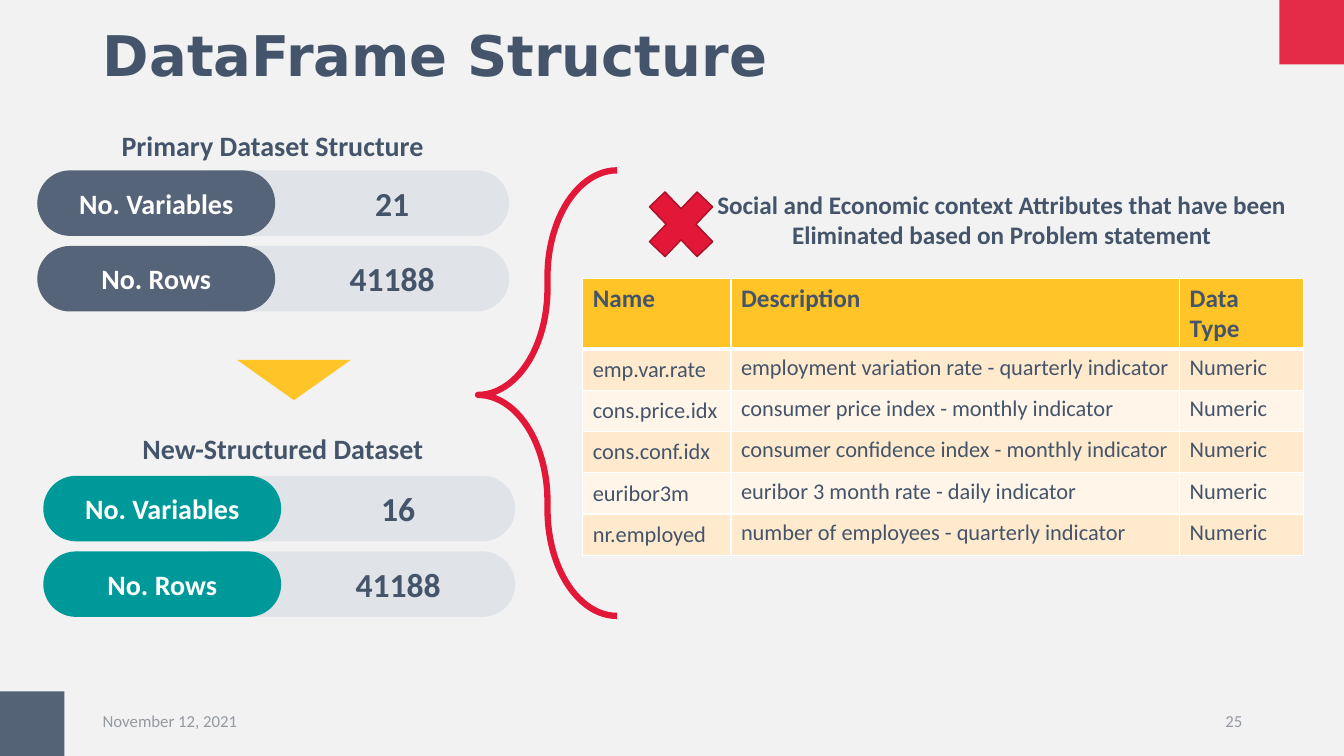
"""Build the DataFrame Structure slide."""
from lxml.etree import SubElement
from pptx import Presentation
from pptx.dml.color import RGBColor
from pptx.enum.shapes import MSO_SHAPE
from pptx.enum.text import MSO_ANCHOR, PP_ALIGN
from pptx.oxml.ns import qn
from pptx.util import Inches, Pt

WIDTH, HEIGHT = 13.33, 7.5
NAVY, SLATE, TEAL, RED, GOLD = "44546A", "556478", "009999", "E31737", "FFC427"
WHITE, TRACK, MUTED, PAPER = "FFFFFF", "E0E3E8", "9499A1", "F2F2F2"
BANDS = ["FFEACD", "FFF5E8"]

TITLE = "DataFrame Structure"
FOOTERS = [("November 12, 2021", 0.92, PP_ALIGN.LEFT), ("25", 9.42, PP_ALIGN.RIGHT)]
CORNERS = [(WIDTH - 0.64, 0, RED), (0, HEIGHT - 0.64, NAVY)]
NOTE = ("Social and Economic context Attributes that have been "
        "Eliminated based on Problem statement")
PANELS = [
    {"heading": "Primary Dataset Structure", "heading_at": (0.52, 1.22), "at": (0.37, 1.69),
     "color": SLATE, "rows": [("No. Variables", "21"), ("No. Rows", "41188")]},
    {"heading": "New-Structured Dataset", "heading_at": (0.62, 4.23), "at": (0.43, 4.72),
     "color": TEAL, "rows": [("No. Variables", "16"), ("No. Rows", "41188")]},
]
ATTRIBUTES = [
    ("Name", "Description", "Data Type"),
    ("emp.var.rate", "employment variation rate - quarterly indicator", "Numeric"),
    ("cons.price.idx", "consumer price index - monthly indicator", "Numeric"),
    ("cons.conf.idx", "consumer confidence index - monthly indicator", "Numeric"),
    ("euribor3m", "euribor 3 month rate - daily indicator", "Numeric"),
    ("nr.employed", "number of employees - quarterly indicator", "Numeric"),
]
COLUMNS = [1.47, 4.45, 1.23]
ROW_HEIGHT, PILL_HEIGHT, PILL_PITCH = 0.41, 0.65, 0.75


def rgb(value):
    return RGBColor.from_string(value)


def inches(*lengths):
    return [Inches(length) for length in lengths]


def write(frame, text, size, color=NAVY, bold=True, align=PP_ALIGN.CENTER,
          anchor=MSO_ANCHOR.MIDDLE, font="Calibri"):
    frame.word_wrap = True
    frame.vertical_anchor = anchor
    para = frame.paragraphs[0]
    para.alignment = align
    span = para.add_run()
    span.text = text
    for name, value in {"size": Pt(size), "bold": bold, "name": font}.items():
        setattr(span.font, name, value)
    span.font.color.rgb = rgb(color)
    return para


def add_text(page, at, text, size, **style):
    box = page.shapes.add_textbox(*inches(*at))
    write(box.text_frame, text, size, **style)


def add_figure(page, kind, at, fill=None, line=None, adjustments=()):
    figure = page.shapes.add_shape(kind, *inches(*at))
    figure.shadow.inherit = False
    if fill:
        figure.fill.solid()
        figure.fill.fore_color.rgb = rgb(fill)
    else:
        figure.fill.background()
    if line:
        figure.line.color.rgb = rgb(line[0])
        figure.line.width = Pt(line[1])
    else:
        figure.line.fill.background()
    for index, value in enumerate(adjustments):
        figure.adjustments[index] = value
    return figure


def add_corner(page, left, top, color):
    corner = add_figure(page, MSO_SHAPE.RECTANGLE, (left, top, 0.64, 0.64), color)
    tint = corner.fill._xPr.find(qn("a:solidFill"))[0]
    SubElement(tint, qn("a:alpha"), val="90000")


def add_panel(page, panel):
    add_text(page, (*panel["heading_at"], 4.37, 0.44), panel["heading"], 20)
    left, top = panel["at"]
    for index, (label, value) in enumerate(panel["rows"]):
        y = top + index * PILL_PITCH
        add_figure(page, MSO_SHAPE.ROUNDED_RECTANGLE, (left + 1.38, y, 3.3, PILL_HEIGHT),
                   TRACK, adjustments=[0.5])
        pill = add_figure(page, MSO_SHAPE.ROUNDED_RECTANGLE, (left, y, 2.36, PILL_HEIGHT),
                          panel["color"], adjustments=[0.5])
        write(pill.text_frame, label, 20, color=WHITE)
        add_text(page, (left + 2.52, y + 0.07, 2, 0.5), value, 24)


def set_borders(cell, row):
    widths = {"L": 1, "R": 1, "T": 3 if row == 1 else 1, "B": 3 if row == 0 else 1}
    for side, width in widths.items():
        edge = SubElement(cell._tc.get_or_add_tcPr(), qn(f"a:ln{side}"), w=str(Pt(width)))
        SubElement(SubElement(edge, qn("a:solidFill")), qn("a:srgbClr"), val=WHITE)


def add_attributes(page):
    size = (sum(COLUMNS), ROW_HEIGHT * len(ATTRIBUTES))
    table = page.shapes.add_table(len(ATTRIBUTES), len(COLUMNS),
                                  *inches(5.78, 2.76, *size)).table
    for column, width in zip(table.columns, COLUMNS):
        column.width = Inches(width)
    for row, texts in enumerate(ATTRIBUTES):
        table.rows[row].height = Inches(ROW_HEIGHT)
        header = row == 0
        for column, text in enumerate(texts):
            cell = table.cell(row, column)
            set_borders(cell, row)
            cell.fill.solid()
            cell.fill.fore_color.rgb = rgb(GOLD if header else BANDS[(row - 1) % 2])
            middle = column == 0 and not header
            write(cell.text_frame, text, 18 if header else 16, bold=header,
                  align=PP_ALIGN.LEFT, anchor=None)
            cell.vertical_anchor = MSO_ANCHOR.MIDDLE if middle else MSO_ANCHOR.TOP


def main():
    deck = Presentation()
    deck.slide_width, deck.slide_height = inches(WIDTH, HEIGHT)
    page = deck.slides.add_slide(deck.slide_layouts[5])
    page.background.fill.solid()
    page.background.fill.fore_color.rgb = rgb(PAPER)

    title = page.shapes.title
    title.left, title.top, title.width, title.height = inches(0.92, 0.15, 11.5, 0.85)
    heading = write(title.text_frame, TITLE, 40, align=PP_ALIGN.LEFT, font="DejaVu Sans")
    heading.line_spacing = 0.9

    for corner in CORNERS:
        add_corner(page, *corner)
    for text, left, align in FOOTERS:
        add_text(page, (left, 6.95, 3, 0.4), text, 12, color=MUTED, bold=False, align=align)
    for panel in PANELS:
        add_panel(page, panel)
    arrow = add_figure(page, MSO_SHAPE.ISOSCELES_TRIANGLE, (2.35, 3.57, 1.13, 0.4), GOLD)
    arrow.rotation = 180

    add_attributes(page)
    add_figure(page, MSO_SHAPE.LEFT_BRACE, (4.74, 1.69, 1.38, 4.42), line=(RED, 4.5),
               adjustments=[0.766, 0.504])
    add_text(page, (6.85, 1.83, 6.17, 0.71), NOTE, 18, anchor=MSO_ANCHOR.TOP)
    add_figure(page, MSO_SHAPE.MATH_MULTIPLY, (6.3, 1.75, 0.91, 0.95), RED, ("A81129", 1))
    deck.save("out.pptx")


if __name__ == "__main__":
    main()
